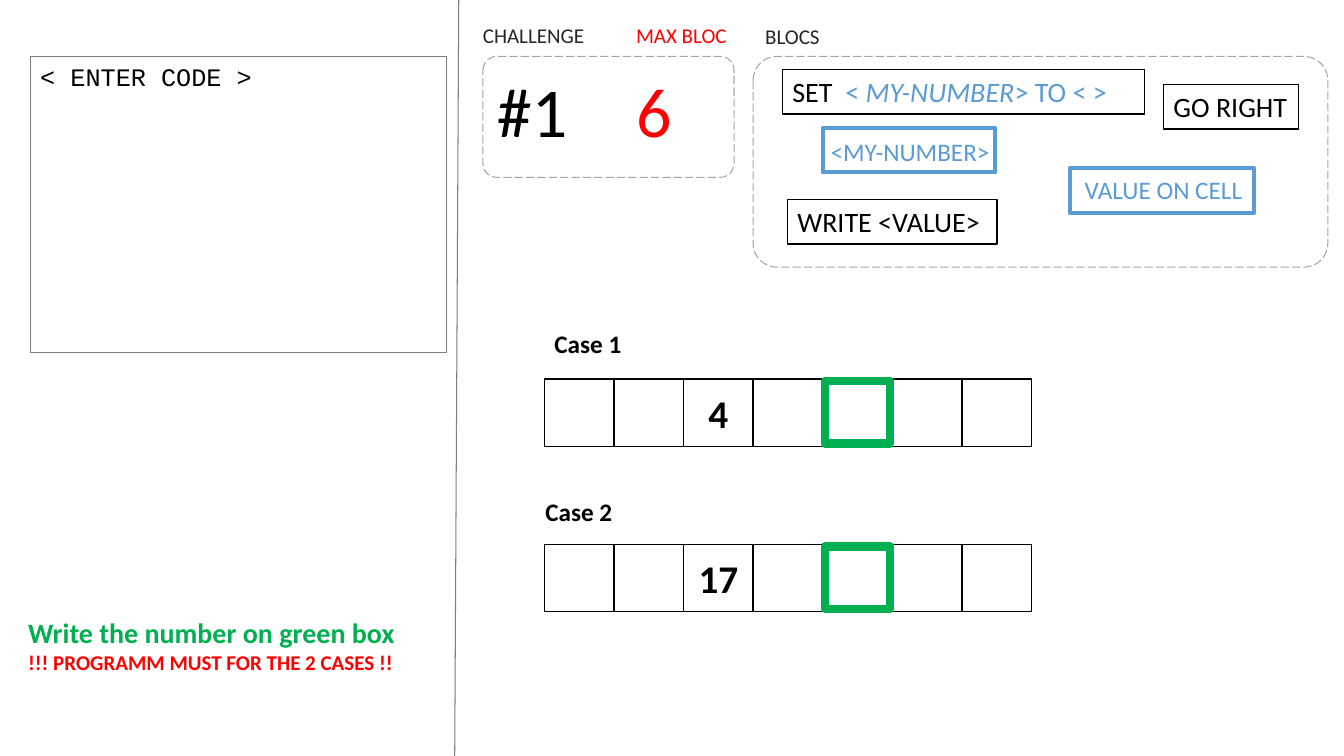
from dataclasses import dataclass

from lxml import etree
from pptx import Presentation
from pptx.dml.color import RGBColor
from pptx.enum.dml import MSO_LINE
from pptx.enum.shapes import MSO_CONNECTOR, MSO_SHAPE
from pptx.enum.text import MSO_ANCHOR, PP_ALIGN
from pptx.oxml.ns import qn
from pptx.util import Inches, Pt

RECTANGLE = MSO_SHAPE.RECTANGLE
ROUNDED = MSO_SHAPE.ROUNDED_RECTANGLE
STRAIGHT = MSO_CONNECTOR.STRAIGHT
LONG_DASH = MSO_LINE.LONG_DASH
TOP, MIDDLE = MSO_ANCHOR.TOP, MSO_ANCHOR.MIDDLE
LEFT, CENTER = PP_ALIGN.LEFT, PP_ALIGN.CENTER


@dataclass(frozen=True)
class Theme:
    black: str = "000000"
    white: str = "FFFFFF"
    ink: str = "262626"
    gray: str = "7F7F7F"
    silver: str = "A5A5A5"
    red: str = "FF0000"
    blue: str = "5B9BD5"
    green: str = "00B050"
    font: str = "Calibri"
    code_font: str = "Courier New"
    caption: int = 15
    label: int = 18
    block: int = 20
    cell: int = 28
    headline: int = 50


THEME = Theme()
CELL_COUNT = 7
NUMBER_CELL = 2
TARGET_CELL = 4
CELL_WIDTH, CELL_HEIGHT = 0.69, 0.67
ROW_LEFT = 5.4


def style_font(font, size, color, bold=False, name=THEME.font):
    font.name = name
    font.size = Pt(size)
    font.bold = bold
    font.color.rgb = RGBColor.from_string(color)


def write(shape, lines, name=THEME.font, bold=False, align=LEFT, anchor=TOP, wrap=True):
    """Fill a shape with lines given as (text, size, color)."""
    frame = shape.text_frame
    frame.word_wrap = wrap
    frame.vertical_anchor = anchor
    for index, (text, size, color) in enumerate(lines):
        paragraph = frame.add_paragraph() if index else frame.paragraphs[0]
        paragraph.text = text
        paragraph.alignment = align
        style_font(paragraph.font, size, color, bold, name)


def add_box(shapes, box, line, width, fill=THEME.white, kind=RECTANGLE):
    shape = shapes.add_shape(kind, *map(Inches, box))
    shape.shadow.inherit = False
    if fill:
        shape.fill.solid()
        shape.fill.fore_color.rgb = RGBColor.from_string(fill)
    else:
        shape.fill.background()
    shape.line.color.rgb = RGBColor.from_string(line)
    shape.line.width = Pt(width)
    return shape


def add_label(shapes, box, *lines, bold=False, wrap=True):
    write(shapes.add_textbox(*map(Inches, box)), lines, bold=bold, wrap=wrap)


def add_panel(shapes, box):
    panel = add_box(shapes, box, THEME.silver, 0.75, kind=ROUNDED)
    panel.adjustments[0] = 0.113
    panel.line.dash_style = LONG_DASH


def add_command(shapes, box, text, wrap=True):
    command = add_box(shapes, box, THEME.black, 1)
    write(command, [(text, THEME.block, THEME.black)], wrap=wrap)


def add_set_command(shapes):
    command = add_box(shapes, (7.76, 0.69, 3.59, 0.44), THEME.black, 1)
    write(command, [("", THEME.block, THEME.black)])
    paragraph = command.text_frame.paragraphs[0]
    for text, color, italic in (
        ("SET  ", THEME.black, False),
        ("< ", THEME.blue, False),
        ("MY-NUMBER", THEME.blue, True),
        ("> TO < >", THEME.blue, False),
    ):
        run = paragraph.add_run()
        run.text = text
        style_font(run.font, THEME.block, color)
        run.font.italic = italic


def add_value(shapes, frame_box, text_box, text):
    add_box(shapes, frame_box, THEME.blue, 3)
    add_label(shapes, text_box, (text, THEME.label, THEME.blue), wrap=False)


def add_case(shapes, title, title_box, top, number):
    """Add a titled row of cells with one number and a green target cell."""
    add_label(shapes, title_box, (title, THEME.label, THEME.black), bold=True)
    row = shapes.add_group_shape().shapes
    for index in range(CELL_COUNT):
        left = ROW_LEFT + index * CELL_WIDTH
        cell = add_box(row, (left, top, CELL_WIDTH, CELL_HEIGHT), THEME.black, 1)
        if index == NUMBER_CELL:
            write(cell, [(number, THEME.cell, THEME.black)],
                  bold=True, align=CENTER, anchor=MIDDLE)
    target_left = ROW_LEFT + TARGET_CELL * CELL_WIDTH + 0.02
    add_box(row, (target_left, top + 0.02, 0.65, 0.62), THEME.green, 6, fill=None)


def add_divider(shapes):
    divider = shapes.add_connector(
        STRAIGHT, Inches(4.55), Inches(0), Inches(4.51), Inches(7.5))
    divider.line.color.rgb = RGBColor.from_string(THEME.gray)
    divider.line.width = Pt(0.75)
    etree.SubElement(divider._element.spPr, qn("a:effectLst"))


def main():
    presentation = Presentation()
    presentation.slide_width = Inches(13.33)
    presentation.slide_height = Inches(7.5)
    slide = presentation.slides.add_slide(presentation.slide_layouts[6])
    shapes = slide.shapes

    add_divider(shapes)
    code = add_box(shapes, (0.3, 0.56, 4.13, 2.94), THEME.gray, 0.75, fill=None)
    write(code, [("< ENTER CODE >", THEME.label, THEME.black)], name=THEME.code_font)

    add_panel(shapes, (4.79, 0.56, 2.49, 1.2))
    add_panel(shapes, (7.47, 0.56, 5.7, 2.09))
    add_label(shapes, (4.83, 0.62, 0.91, 0.94), ("#1", THEME.headline, THEME.black))
    add_label(shapes, (6.21, 0.62, 0.91, 0.94), ("6", THEME.headline, THEME.red))
    add_label(shapes, (7.49, 0.18, 0.75, 0.35), ("BLOCS", THEME.caption, THEME.ink))
    add_label(shapes, (6.21, 0.17, 1.11, 0.35), ("MAX BLOC", THEME.caption, THEME.red))
    add_label(shapes, (4.69, 0.17, 1.22, 0.35), ("CHALLENGE", THEME.caption, THEME.ink))

    add_command(shapes, (11.54, 0.84, 1.34, 0.44), "GO RIGHT", wrap=False)
    add_set_command(shapes)
    add_value(shapes, (8.16, 1.27, 1.71, 0.44), (8.14, 1.3, 1.81, 0.4), "<MY-NUMBER>")
    add_command(shapes, (7.81, 1.98, 2.08, 0.44), "WRITE <VALUE>")
    add_value(shapes, (10.61, 1.67, 1.83, 0.44), (10.66, 1.68, 1.78, 0.4), "VALUE ON CELL")

    add_label(
        shapes, (0.18, 6.06, 4.07, 0.69),
        ("Write the number on green box", THEME.block, THEME.green),
        ("!!! PROGRAMM MUST FOR THE 2 CASES !!", THEME.caption, THEME.red),
        bold=True,
    )
    add_case(shapes, "Case 1", (5.4, 3.21, 1.04, 0.4), 3.76, "4")
    add_case(shapes, "Case 2", (5.31, 4.87, 1.04, 0.4), 5.4, "17")

    presentation.save("out.pptx")


if __name__ == "__main__":
    main()
